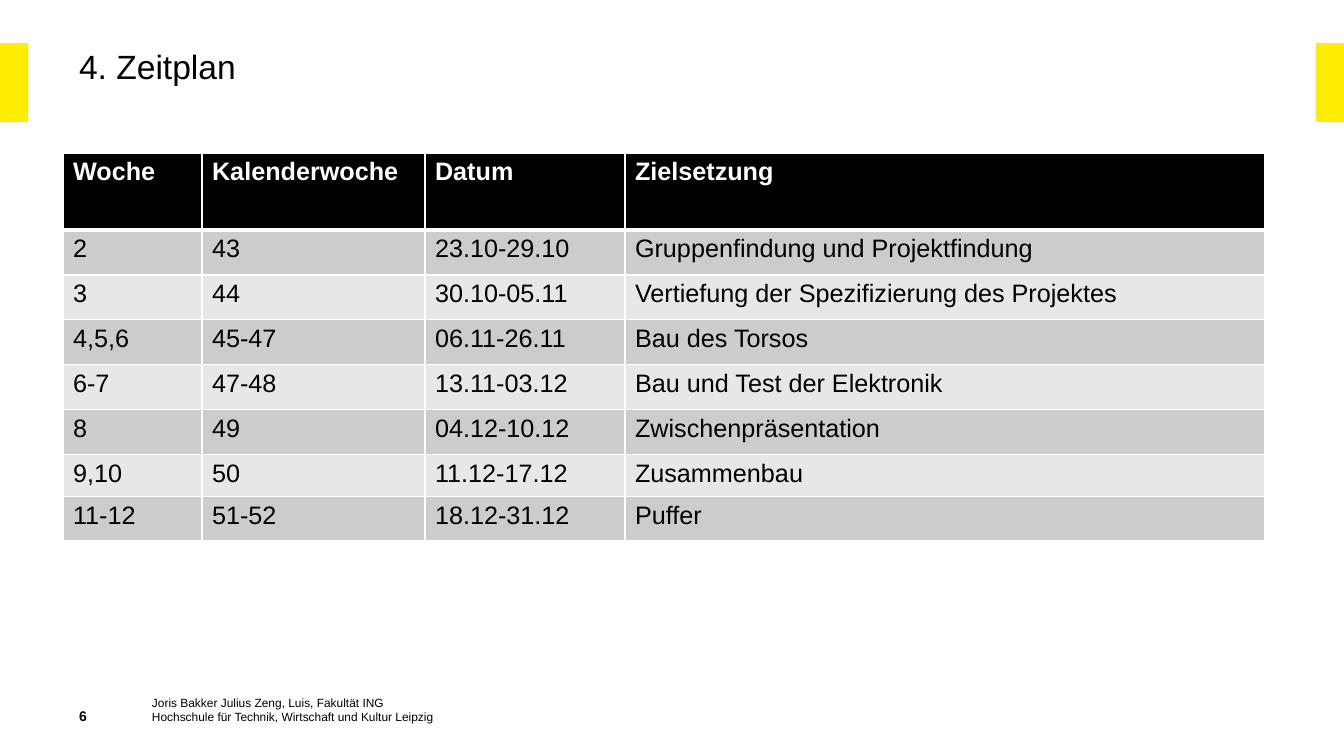
from lxml import etree
from pptx import Presentation
from pptx.dml.color import RGBColor
from pptx.enum.shapes import MSO_SHAPE as Shape
from pptx.enum.text import MSO_ANCHOR as Anchor
from pptx.oxml.ns import qn
from pptx.util import Pt

SLIDE_WIDTH, SLIDE_HEIGHT = 1344, 756
SCALE = 12192000 / SLIDE_WIDTH  # EMU in one px
FONT = "Arial"
COLORS = {
    "text": "000000",
    "accent": "FFED00",
    "header": "000000",
    "header_text": "FFFFFF",
    "band_dark": "CCCCCC",
    "band_light": "E7E7E7",
    "border": "FFFFFF",
}
COLUMN_WIDTHS = [139, 223, 200, 640]
ROW_HEIGHTS = [77, 45, 45, 45, 45, 45, 42, 44]
SCHEDULE = [
    ("Woche", "Kalenderwoche", "Datum", "Zielsetzung"),
    ("2", "43", "23.10-29.10", "Gruppenfindung und Projektfindung"),
    ("3", "44", "30.10-05.11", "Vertiefung der Spezifizierung des Projektes"),
    ("4,5,6", "45-47", "06.11-26.11", "Bau des Torsos"),
    ("6-7", "47-48", "13.11-03.12", "Bau und Test der Elektronik"),
    ("8", "49", "04.12-10.12", "Zwischenpräsentation"),
    ("9,10", "50", "11.12-17.12", "Zusammenbau"),
    ("11-12", "51-52", "18.12-31.12", "Puffer"),
]


def px(length):
    return round(length * SCALE)


def color(name):
    return RGBColor.from_string(COLORS[name])


def style_text(paragraph, size, color_name="text", bold=False):
    font = paragraph.font
    font.name, font.size, font.bold = FONT, Pt(size), bold
    font.color.rgb = color(color_name)


def add_text(slide, box, text, size, anchor=Anchor.BOTTOM, bold=False, spacing=None):
    frame = slide.shapes.add_textbox(*map(px, box)).text_frame
    frame.word_wrap = True
    frame.vertical_anchor = anchor
    frame.margin_left = frame.margin_top = frame.margin_right = frame.margin_bottom = 0
    paragraph = frame.paragraphs[0]
    paragraph.text = text
    paragraph.line_spacing = spacing
    style_text(paragraph, size, bold=bold)


# Title between two bars at the slide edges
def add_heading(slide, left, top, width, height):
    bar_width, inset = 28, 79
    for bar_left in (left, left + width - bar_width):
        bar = slide.shapes.add_shape(
            Shape.RECTANGLE, px(bar_left), px(top), px(bar_width), px(height))
        bar.shadow.inherit = False
        bar.fill.solid()
        bar.fill.fore_color.rgb = color("accent")
        bar.line.fill.background()
    add_text(slide, (left + inset, top, width - 2 * inset, height),
             "4. Zeitplan", 24, Anchor.TOP, spacing=1.08)


def set_borders(cell, bottom_width):
    properties = cell._tc.get_or_add_tcPr()
    widths = {"a:lnL": 1, "a:lnR": 1, "a:lnT": 1, "a:lnB": bottom_width}
    for tag, width in widths.items():
        line = etree.SubElement(properties, qn(tag), w=str(Pt(width)))
        fill = etree.SubElement(line, qn("a:solidFill"))
        etree.SubElement(fill, qn("a:srgbClr"), val=COLORS["border"])


# Schedule with a header row and banded rows
def add_schedule(slide, left, top):
    table = slide.shapes.add_table(
        len(SCHEDULE), len(COLUMN_WIDTHS), px(left), px(top),
        px(sum(COLUMN_WIDTHS)), px(sum(ROW_HEIGHTS))).table
    for column, width in zip(table.columns, COLUMN_WIDTHS):
        column.width = px(width)
    for index, (row, height, texts) in enumerate(zip(table.rows, ROW_HEIGHTS, SCHEDULE)):
        row.height = px(height)
        is_header = index == 0
        band = "band_dark" if index % 2 else "band_light"
        for cell, text in zip(row.cells, texts):
            set_borders(cell, 3 if is_header else 1)
            cell.fill.solid()
            cell.fill.fore_color.rgb = color("header" if is_header else band)
            cell.text = text
            style_text(cell.text_frame.paragraphs[0], 18,
                       "header_text" if is_header else "text", is_header)


# Slide number, authors and university
def add_footer(slide, left, top, width, height):
    text_left, line_height = left + 73, 13
    text_width = width - 73
    add_text(slide, (left, top, 54, height), "6", 10, bold=True)
    add_text(slide, (text_left, top, text_width, 25),
             "Joris Bakker Julius Zeng, Luis, Fakultät ING", 8.5, spacing=Pt(11))
    add_text(slide, (text_left, top + height - line_height, text_width, line_height),
             "Hochschule für Technik, Wirtschaft und Kultur Leipzig", 8.5, spacing=Pt(11))


def main():
    presentation = Presentation()
    presentation.slide_width = px(SLIDE_WIDTH)
    presentation.slide_height = px(SLIDE_HEIGHT)
    slide = presentation.slides.add_slide(presentation.slide_layouts[6])
    add_heading(slide, 0, 43, SLIDE_WIDTH, 79)
    add_schedule(slide, 63, 153)
    add_footer(slide, 79, 685, 608, 39)
    presentation.save("out.pptx")


if __name__ == "__main__":
    main()
